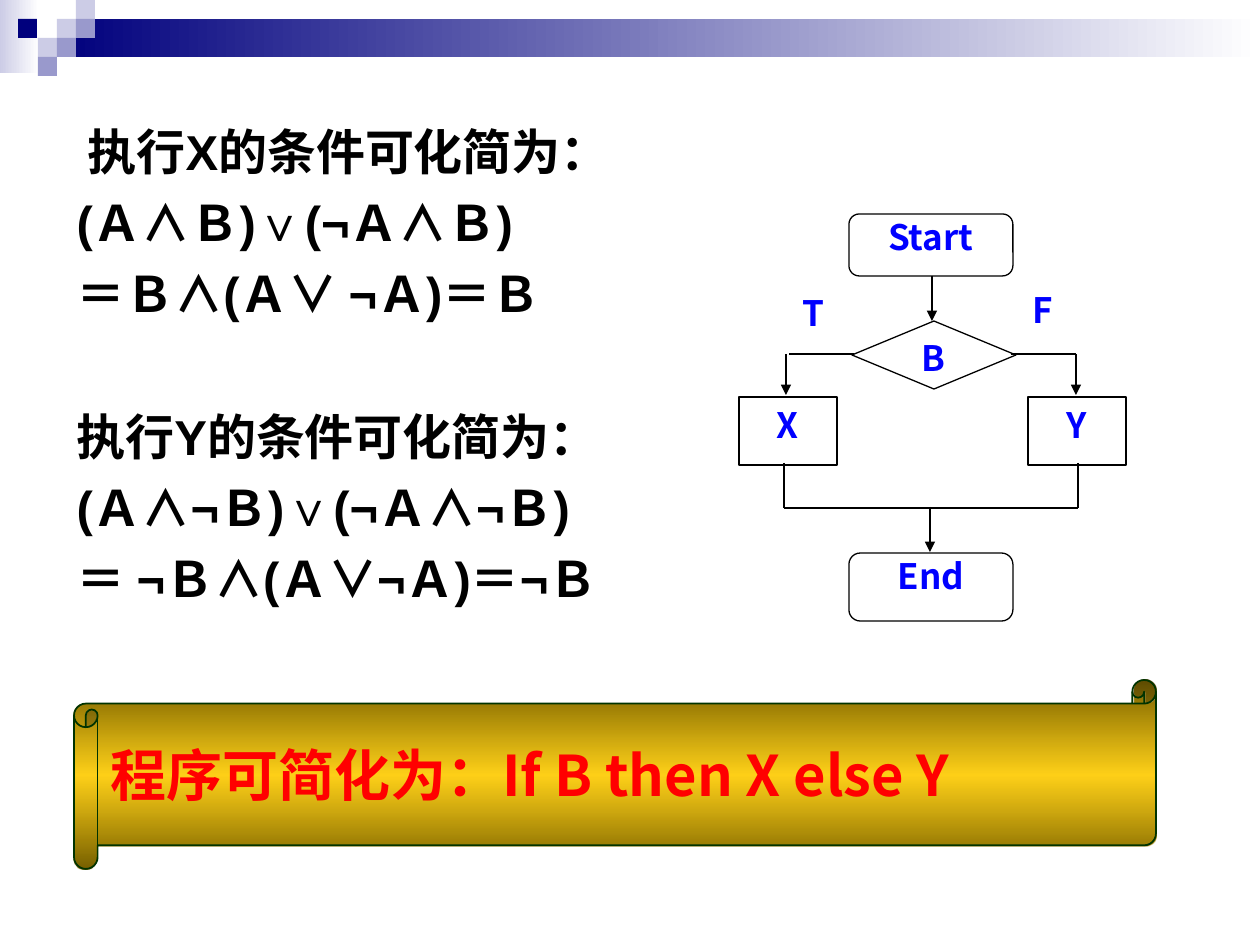
import copy
import pptx
import pptx.util
import pptx.dml.color
import pptx.enum.shapes
import pptx.enum.text
import pptx.oxml.ns
import lxml.etree

PX = pptx.util.Inches(1) // 126
SHAPE = pptx.enum.shapes.MSO_SHAPE
ALIGN = pptx.enum.text.PP_ALIGN
ANCHOR = pptx.enum.text.MSO_ANCHOR
CJK = "Noto Sans CJK SC"
qn = pptx.oxml.ns.qn


def rgb(value):
    return pptx.dml.color.RGBColor.from_string(value)


def write(p, text, size=20, font=CJK, color="0000FF", align=ALIGN.CENTER, spacing=None):
    p.alignment = align
    p.line_spacing = spacing
    r = p.add_run()
    r.text = text
    r.font.size = pptx.util.Pt(size)
    r.font.bold = True
    r.font.name = font
    r.font.color.rgb = rgb(color)
    ea = lxml.etree.Element(qn("a:ea"), typeface=CJK)
    r.font._element.find(qn("a:latin")).addnext(ea)


prs = pptx.Presentation()
prs.slide_width = pptx.util.Inches(10)
prs.slide_height = pptx.util.Inches(7.5)
s = prs.slides.add_slide(prs.slide_layouts[1])
title = s.shapes.title._element
title.getparent().remove(title)

for x, y, w, h, start, end in [
    (0, 0, 39, 73, "CCCCE6", "FFFFFF"),
    (57, 19, 1203, 38, "00007D", "FFFFFF"),
]:
    sp = s.shapes.add_shape(SHAPE.RECTANGLE, x * PX, y * PX, w * PX, h * PX)
    sp.shadow.inherit = False
    sp.line.fill.background()
    sp.fill.gradient()
    sp.fill.gradient_angle = 0
    for stop, color, position in zip(sp.fill.gradient_stops, (start, end), (0, 1)):
        stop.color.rgb = rgb(color)
        stop.position = position

for x, y, color in [
    (57, 19, "CCCCE6"), (76, 0, "CCCCE6"), (76, 19, "9999CC"), (38, 38, "CCCCE6"),
    (18, 19, "00007D"), (57, 38, "9999CC"), (38, 57, "9999CC"),
]:
    sp = s.shapes.add_shape(SHAPE.RECTANGLE, x * PX, y * PX, 19 * PX, 19 * PX)
    sp.shadow.inherit = False
    sp.line.fill.background()
    sp.fill.solid()
    sp.fill.fore_color.rgb = rgb(color)

body = s.placeholders[1]
body.left, body.top, body.width, body.height = 64 * PX, 115 * PX, 646 * PX, 495 * PX
tf = body.text_frame
tf.word_wrap = True
tf.auto_size = pptx.enum.text.MSO_AUTO_SIZE.NONE
tf.vertical_anchor = ANCHOR.TOP
for i, (text, before) in enumerate([
    (" 执行X的条件可化简为：", 0),
    ("(Ａ∧Ｂ)∨(¬Ａ∧Ｂ)", 7),
    ("＝Ｂ∧(Ａ∨ ¬Ａ)＝Ｂ", 7),
    ("执行Y的条件可化简为：", 48),
    ("(Ａ∧¬Ｂ)∨(¬Ａ∧¬Ｂ)", 7),
    ("＝ ¬Ｂ∧(Ａ∨¬Ａ)＝¬Ｂ", 7),
]):
    p = tf.add_paragraph() if i else tf.paragraphs[0]
    pPr = p._p.get_or_add_pPr()
    pPr.set("marL", str(48 * PX))
    pPr.set("indent", str(-48 * PX))
    lxml.etree.SubElement(pPr, qn("a:buNone"))
    p.space_before = pptx.util.Pt(before)
    write(p, text, size=28, font="Arial", color="000000", align=ALIGN.LEFT)

for kind, x, y, w, h, text, outlined, spacing in [
    (SHAPE.RECTANGLE, 781, 285, 66, 68, "T", False, None),
    (SHAPE.RECTANGLE, 1010, 282, 66, 68, "F", False, None),
    (SHAPE.FLOWCHART_PROCESS, 739, 397, 98, 68, "X", True, None),
    (SHAPE.RECTANGLE, 1028, 397, 98, 68, "Y", True, None),
    (SHAPE.FLOWCHART_ALTERNATE_PROCESS, 849, 214, 164, 62, "Start", True, 0.8),
    (SHAPE.FLOWCHART_DECISION, 852, 321, 164, 68, "B", True, 0.8),
    (SHAPE.FLOWCHART_ALTERNATE_PROCESS, 849, 553, 164, 68, "End", True, 0.8),
]:
    sp = s.shapes.add_shape(kind, x * PX, y * PX, w * PX, h * PX)
    sp.shadow.inherit = False
    sp.fill.solid()
    sp.fill.fore_color.rgb = rgb("FFFFFF")
    if outlined:
        sp.line.color.rgb = rgb("000000")
        sp.line.width = pptx.util.Pt(0.75)
    else:
        sp.line.fill.background()
    sp.text_frame.vertical_anchor = ANCHOR.TOP
    write(sp.text_frame.paragraphs[0], text, spacing=spacing)

for x1, y1, x2, y2, arrow in [
    (932, 276, 932, 321, True),
    (854, 354, 789, 354, False),
    (786, 354, 786, 395, True),
    (1011, 354, 1076, 354, False),
    (1076, 354, 1076, 395, True),
    (784, 463, 784, 508, False),
    (1078, 463, 1078, 508, False),
    (784, 508, 1078, 508, False),
    (930, 507, 930, 552, True),
]:
    line = s.shapes.add_connector(
        pptx.enum.shapes.MSO_CONNECTOR.STRAIGHT, x1 * PX, y1 * PX, x2 * PX, y2 * PX)
    line.line.color.rgb = rgb("000000")
    line.line.width = pptx.util.Pt(0.75)
    if arrow:
        lxml.etree.SubElement(line.line._get_or_add_ln(), qn("a:tailEnd"), type="triangle")
    lxml.etree.SubElement(line._element.spPr, qn("a:effectLst"))

scroll = s.shapes.add_shape(SHAPE.HORIZONTAL_SCROLL, 74 * PX, 680 * PX, 1082 * PX, 189 * PX)
scroll.shadow.inherit = False
scroll.line.color.rgb = rgb("003300")
scroll.line.width = pptx.util.Pt(1)
scroll.fill.gradient()
scroll.fill.gradient_angle = 90
stops = scroll._element.spPr.find(qn("a:gradFill")).find(qn("a:gsLst"))
stops.append(copy.deepcopy(stops[0]))
for stop, color, position in zip(
        scroll.fill.gradient_stops, ("755E00", "FFCC00", "755E00"), (0, 0.5, 1)):
    stop.color.rgb = rgb(color)
    stop.position = position
lxml.etree.SubElement(stops[1][0], qn("a:alpha"), val="90000")
tf = scroll.text_frame
tf.word_wrap = True
tf.vertical_anchor = ANCHOR.MIDDLE
write(tf.paragraphs[0], "程序可简化为：If B then X else Y", size=32, color="FF0000", align=ALIGN.LEFT)

prs.save("out.pptx")
